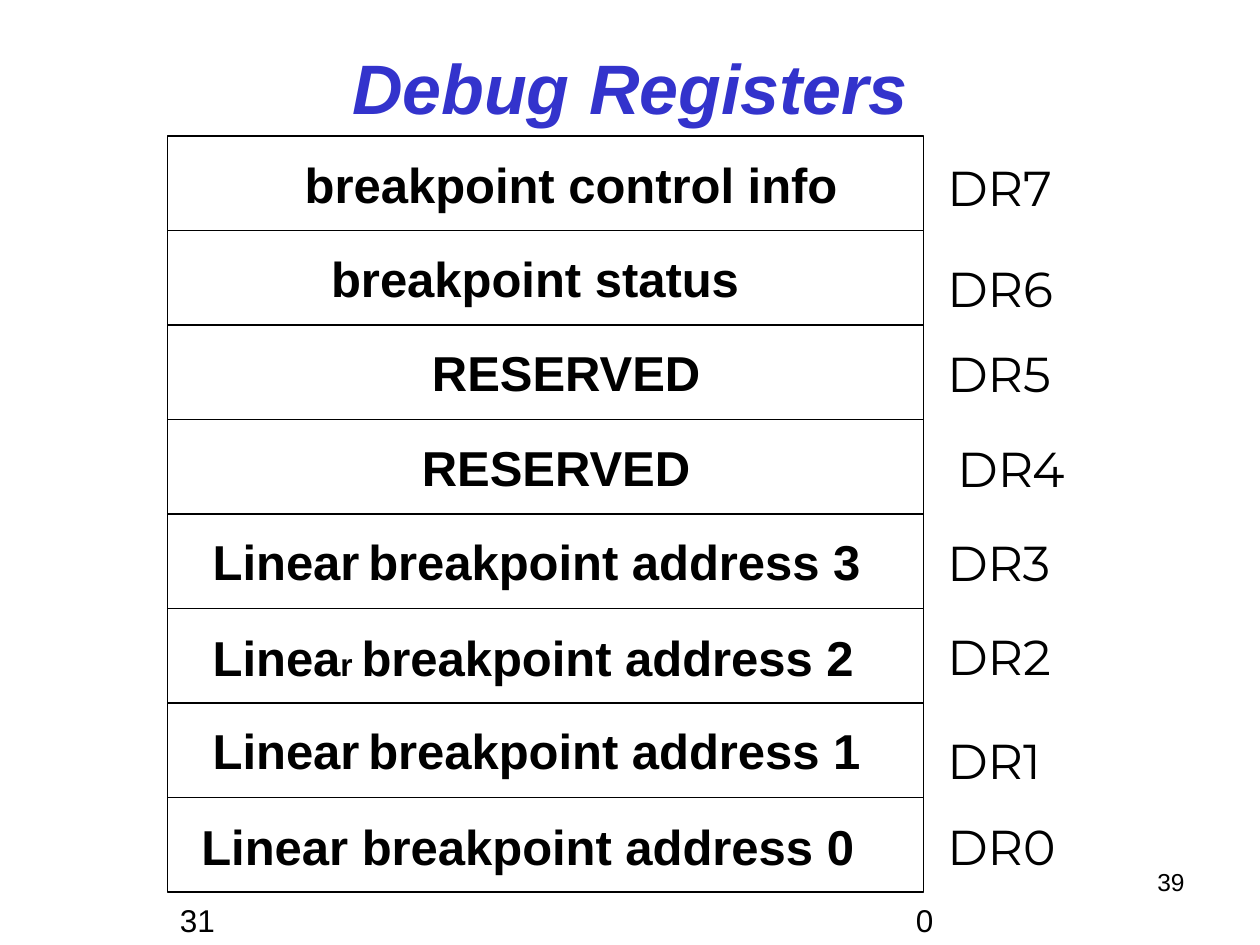
from pptx import Presentation
from pptx.dml.color import RGBColor
from pptx.enum.shapes import MSO_SHAPE
from pptx.enum.text import MSO_ANCHOR, PP_ALIGN
from pptx.util import Inches, Pt

RECT = MSO_SHAPE.RECTANGLE
MIDDLE = MSO_ANCHOR.MIDDLE
LEFT, CENTER, RIGHT = PP_ALIGN.LEFT, PP_ALIGN.CENTER, PP_ALIGN.RIGHT
COLORS = {"title": "3333CC", "ink": "000000"}
ROW_H = 0.75
TEXT_H = 0.57

REGISTERS = [
    ("DR7", 7.42, 1.2, [("breakpoint control info", 28, True)], 2.32, 1.18, 4.5),
    ("DR6", 7.42, 2, [("breakpoint status", 28, True)], 2.53, 1.92, 3.5),
    ("DR5", 7.42, 2.68, [("RESERVED", 28, True)], 3.33, 2.67, 2.83),
    ("DR4", 7.5, 3.43, [("RESERVED", 28, True)], 3.25, 3.42, 2.83),
    ("DR3", 7.42, 4.18, [("Linear", 28, True), (" ", 18, False),
                         ("breakpoint address 3", 28, True)], 1.59, 4.17, 5.4),
    ("DR2", 7.42, 4.92, [("Linea", 28, True), ("r ", 18, True),
                         ("breakpoint address 2", 28, True)], 1.59, 4.93, 5.4),
    ("DR1", 7.42, 5.75, [("Linear", 28, True), (" ", 18, False),
                         ("breakpoint address 1", 28, True)], 1.59, 5.67, 5.4),
    ("DR0", 7.42, 6.43, [("Linear breakpoint address 0", 28, True)], 1.5, 6.43, 5.58),
]


def add_run(p, text, size=28, font="Arial", color="ink", bold=False, italic=False):
    """Append a formatted run to a paragraph."""
    r = p.add_run()
    r.text = text
    r.font.size = Pt(size)
    r.font.name = font
    r.font.bold = bold
    r.font.italic = italic
    r.font.color.rgb = RGBColor.from_string(COLORS[color])


def add_text(s, box, runs, font="Arial", align=LEFT):
    """Add a text box holding one paragraph of (text, size, bold) runs."""
    tf = s.shapes.add_textbox(*map(Inches, box)).text_frame
    tf.word_wrap = True
    p = tf.paragraphs[0]
    p.alignment = align
    for text, size, bold in runs:
        add_run(p, text, size=size, font=font, bold=bold)


def add_title(s, box, text):
    """Move, fill and format the title placeholder."""
    title = s.shapes.title
    title.left, title.top, title.width, title.height = map(Inches, box)
    tf = title.text_frame
    tf.vertical_anchor = MIDDLE
    p = tf.paragraphs[0]
    p.alignment = CENTER
    add_run(p, text, size=40, color="title", bold=True, italic=True)


def add_registers(s, left, top, width):
    """Stack the register rows downward, with their fields and names."""
    for i in range(len(REGISTERS)):
        row = s.shapes.add_shape(RECT, Inches(left), Inches(top + i * ROW_H),
                                 Inches(width), Inches(ROW_H))
        row.shadow.inherit = False
        row.fill.background()
        row.line.color.rgb = RGBColor.from_string(COLORS["ink"])
        row.line.width = Pt(0.75)
    for name, name_x, name_y, runs, x, y, w in REGISTERS:
        add_text(s, (name_x, name_y, 1.42, TEXT_H), [(name, 28, False)], font="Montserrat")
        add_text(s, (x, y, w, TEXT_H), runs)


def add_bit_numbers(s, top):
    """Label the highest and lowest bit under the registers."""
    for text, left, width in (("31", 1.33, 0.58), ("0", 7.17, 0.42)):
        add_text(s, (left, top, width, 0.4), [(text, 18, False)])


def main():
    """Build the slide and save it."""
    prs = Presentation()
    prs.slide_width, prs.slide_height = Inches(10), Inches(7.5)
    s = prs.slides.add_slide(prs.slide_layouts[5])
    add_title(s, (0.5, 0.3, 9, 0.78), "Debug Registers")
    add_registers(s, 1.33, 1.08, 6)
    add_bit_numbers(s, 7.1)
    add_text(s, (7.17, 6.83, 2.33, 0.52), [("39", 14, False)], align=RIGHT)
    prs.save("out.pptx")


if __name__ == "__main__":
    main()
